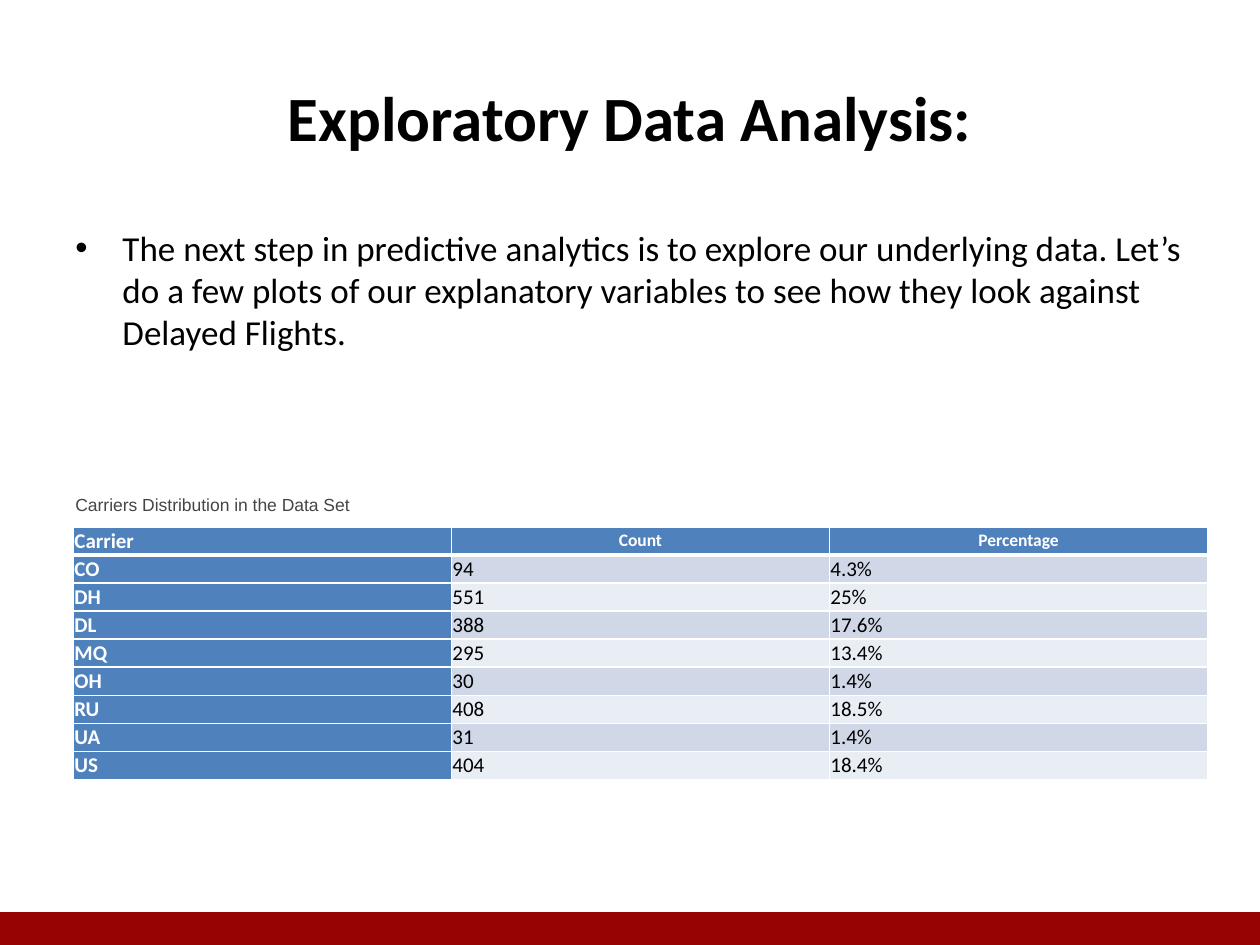
"""Build the exploratory data analysis slide with its carrier table."""
from lxml import etree
from pptx import Presentation
from pptx.dml.color import RGBColor
from pptx.enum.shapes import MSO_SHAPE
from pptx.enum.text import MSO_ANCHOR, PP_ALIGN
from pptx.oxml.ns import qn
from pptx.util import Cm, Pt

RECTANGLE = MSO_SHAPE.RECTANGLE
TOP, MIDDLE = MSO_ANCHOR.TOP, MSO_ANCHOR.MIDDLE
LEFT, CENTER = PP_ALIGN.LEFT, PP_ALIGN.CENTER

HEADINGS = ("Carrier", "Count", "Percentage")
CARRIERS = (
    ("CO", "94", "4.3%"),
    ("DH", "551", "25%"),
    ("DL", "388", "17.6%"),
    ("MQ", "295", "13.4%"),
    ("OH", "30", "1.4%"),
    ("RU", "408", "18.5%"),
    ("UA", "31", "1.4%"),
    ("US", "404", "18.4%"),
)


def color(hex_code):
    return RGBColor.from_string(hex_code)


class SlideBuilder:
    font = "Calibri"
    black, white, gray = "000000", "FFFFFF", "454545"
    red, blue = "970303", "4F81BD"
    bands = ("D0D8E8", "E9EDF4")

    def __init__(self, slide):
        self.slide = slide

    def bar(self, left, top, width, height):
        bar = self.slide.shapes.add_shape(RECTANGLE, Cm(left), Cm(top), Cm(width), Cm(height))
        bar.shadow.inherit = False
        bar.fill.solid()
        bar.fill.fore_color.rgb = color(self.red)
        bar.line.color.rgb = color(self.red)
        bar.line.width = Pt(2)

    def run(self, paragraph, text, size, hex_code, bold=False, font=None):
        run = paragraph.add_run()
        run.text = text
        run.font.name = font or self.font
        run.font.size = Pt(size)
        run.font.bold = bold
        run.font.color.rgb = color(hex_code)

    def text(self, box, text, size, hex_code=black, bold=False, font=None,
             align=LEFT, anchor=TOP):
        frame = self.slide.shapes.add_textbox(*map(Cm, box)).text_frame
        frame.word_wrap = True
        frame.vertical_anchor = anchor
        paragraph = frame.paragraphs[0]
        paragraph.alignment = align
        self.run(paragraph, text, size, hex_code, bold, font)
        return paragraph

    def bullet(self, box, text, size, indent):
        properties = self.text(box, text, size)._p.get_or_add_pPr()
        properties.set("marL", str(Cm(indent)))
        properties.set("indent", str(-Cm(indent)))
        etree.SubElement(properties, qn("a:buFont"), typeface="Arial")
        etree.SubElement(properties, qn("a:buChar"), char="•")

    def borders(self, cell, bottom):
        properties = cell._tc.get_or_add_tcPr()
        for position, (side, width) in enumerate(
                (("lnL", 1), ("lnR", 1), ("lnT", 1), ("lnB", bottom))):
            line = etree.Element(qn(f"a:{side}"), w=str(Pt(width)))
            fill = etree.SubElement(line, qn("a:solidFill"))
            etree.SubElement(fill, qn("a:srgbClr"), val=self.white)
            properties.insert(position, line)

    def cell(self, cell, text, row, column):
        heading, key = row == 0, column == 0
        accent = heading or key
        cell.margin_left = cell.margin_right = Cm(0.02)
        cell.margin_top = cell.margin_bottom = Cm(0.02)
        cell.vertical_anchor = MIDDLE
        cell.fill.solid()
        cell.fill.fore_color.rgb = color(self.blue if accent else self.bands[(row - 1) % 2])
        self.borders(cell, 3 if heading else 1)
        paragraph = cell.text_frame.paragraphs[0]
        paragraph.alignment = CENTER if heading and not key else LEFT
        paragraph.space_after = Pt(6)
        self.run(paragraph, text, 10 if heading and not key else 12,
                 self.white if accent else self.black, accent)

    def table(self, box, rows):
        table = self.slide.shapes.add_table(len(rows), len(rows[0]), *map(Cm, box)).table
        table.first_col = True
        for r, values in enumerate(rows):
            for c, value in enumerate(values):
                self.cell(table.cell(r, c), value, r, c)


def main():
    deck = Presentation()
    deck.slide_width, deck.slide_height = Cm(25.4), Cm(19.05)
    builder = SlideBuilder(deck.slides.add_slide(deck.slide_layouts[6]))
    builder.bar(0, 18.42, 25.4, 0.63)
    builder.text((1.27, 0.76, 22.86, 3.18), "Exploratory Data Analysis:", 36,
                 bold=True, align=CENTER, anchor=MIDDLE)
    builder.bullet((1.27, 4.45, 22.86, 12.57),
                   "The next step in predictive analytics is to explore our underlying data. "
                   "Let’s do a few plots of our explanatory variables to see how they look "
                   "against Delayed Flights.", 20, 0.95)
    builder.table((1.48, 10.62, 22.86, 5.1), (HEADINGS, *CARRIERS))
    builder.text((1.27, 9.83, 23.06, 0.68), "Carriers Distribution in the Data Set", 10,
                 builder.gray, font="Arial", anchor=MIDDLE)
    deck.save("out.pptx")


if __name__ == "__main__":
    main()
